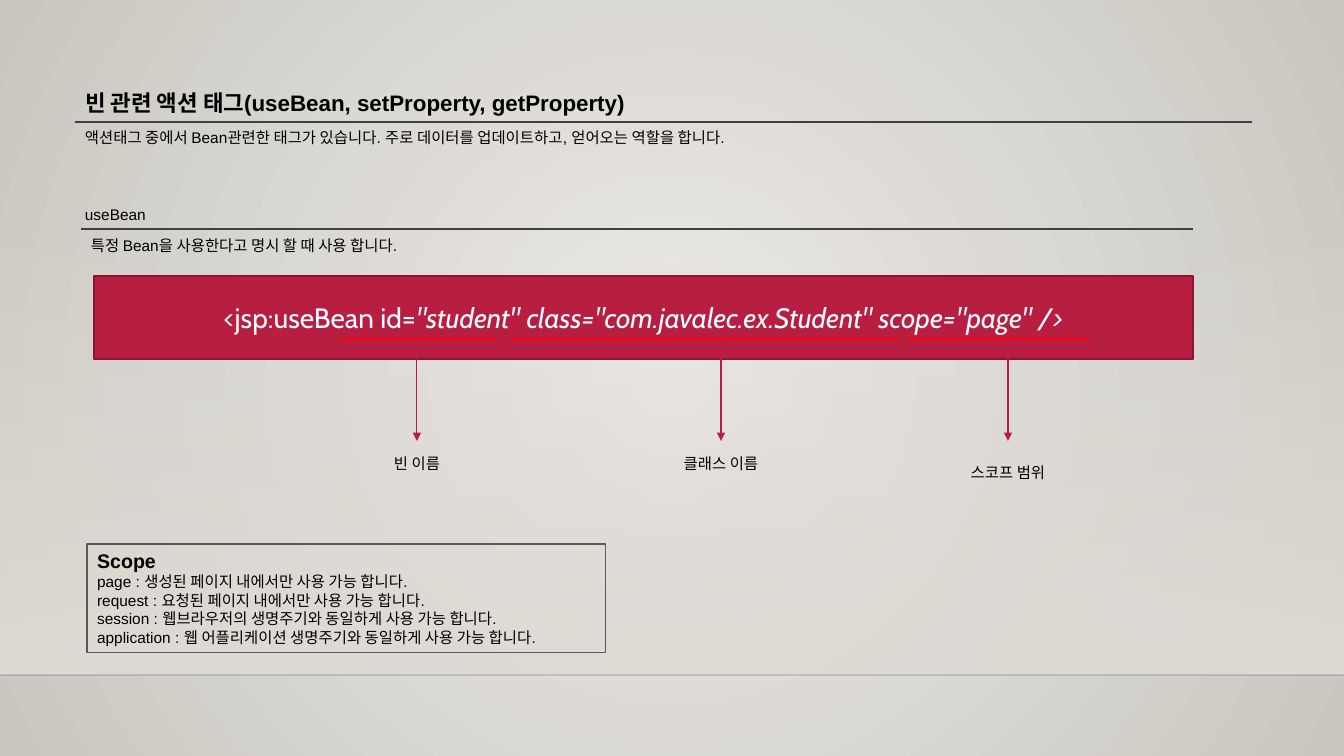
from lxml.etree import SubElement
from pptx import Presentation
from pptx.dml.color import RGBColor
from pptx.enum.shapes import MSO_CONNECTOR, MSO_SHAPE
from pptx.enum.text import MSO_ANCHOR, MSO_AUTO_SIZE, PP_ALIGN
from pptx.oxml.ns import qn
from pptx.util import Pt

HEADING = "빈 관련 액션 태그(useBean, setProperty, getProperty)"
PASSAGES = [
    ("액션태그 중에서 Bean관련한 태그가 있습니다. 주로 데이터를 업데이트하고, 얻어오는 역할을 합니다.", (75, 123, 1177, 29)),
    ("useBean", (75, 200, 1177, 29)),
    ("특정 Bean을 사용한다고 명시 할 때 사용 합니다.", (81, 231, 1112, 29)),
]
TAG_PARTS = [
    ("<jsp:useBean id=", False),
    ('"student" class="com.javalec.ex.Student" scope="page" />', True),
]
ATTRIBUTES = [
    ("빈 이름", 417, 449, (339, 498)),
    ("클래스 이름", 721, 449, (512, 901)),
    ("스코프 범위", 1008, 458, (909, 1089)),
]
SCOPE_HEADING = "Scope"
SCOPES = [
    "page : 생성된 페이지 내에서만 사용 가능 합니다.",
    "request : 요청된 페이지 내에서만 사용 가능 합니다.",
    "session : 웹브라우저의 생명주기와 동일하게 사용 가능 합니다.",
    "application : 웹 어플리케이션 생명주기와 동일하게 사용 가능 합니다.",
]

WIDTH, HEIGHT = 1344, 756
FLOOR_TOP, FLOOR_LINE = 223, 675
RULES = [(75, 122, 1252), (81, 229, 1193)]
BAR = (94, 276, 1099, 83)
UNDERLINE_Y, ARROW_END = 339, 441
LABEL_WIDTH, LABEL_HEIGHT = 122, 29
PX = 12192000 / WIDTH

BLACK = RGBColor(0, 0, 0)
WHITE = RGBColor(255, 255, 255)
RED = RGBColor(255, 0, 0)
CRIMSON = RGBColor(0xB7, 0x1E, 0x42)
DARK_CRIMSON = RGBColor(0x87, 0x16, 0x31)
RULE_GRAY = RGBColor(0x40, 0x40, 0x40)
BORDER_GRAY = RGBColor(0x59, 0x59, 0x59)
GLOW = RGBColor(0xEC, 0xEA, 0xE7)
EDGE = RGBColor(0xCA, 0xC7, 0xC1)
FLOOR = RGBColor(0xDF, 0xDB, 0xD5)


def emu(*lengths):
    return [round(length * PX) for length in lengths]


def set_alpha(color, percent):
    SubElement(color, qn("a:alpha"), val=str(percent * 1000))


def set_gradient(fill, first, last):
    fill.gradient()
    for stop, color in zip(fill.gradient_stops, (first, last)):
        stop.color.rgb = color


def paint_background(slide):
    set_gradient(slide.background.fill, GLOW, EDGE)
    gradient = slide.background._cSld.find(".//" + qn("a:gradFill"))
    gradient.remove(gradient.find(qn("a:lin")))
    circle = SubElement(gradient, qn("a:path"), path="circle")
    SubElement(circle, qn("a:fillToRect"), l="50000", t="50000", r="50000", b="50000")


def add_block(slide, box):
    block = slide.shapes.add_shape(MSO_SHAPE.RECTANGLE, *emu(*box))
    block.shadow.inherit = False
    return block


def add_line(slide, start, end, color, points, arrow=False):
    line = slide.shapes.add_connector(MSO_CONNECTOR.STRAIGHT, *emu(*start, *end))
    line.line.color.rgb = color
    line.line.width = Pt(points)
    if arrow:
        SubElement(line.line._get_or_add_ln(), qn("a:tailEnd"), type="triangle")
    SubElement(line._element.spPr, qn("a:effectLst"))
    return line


def style(paragraph, size, bold=False, align=PP_ALIGN.LEFT):
    paragraph.alignment = align
    paragraph.space_before = Pt(0)
    paragraph.font.name = "Arial"
    paragraph.font.size = Pt(size)
    paragraph.font.bold = bold
    paragraph.font.color.rgb = BLACK


def add_text(slide, text, box, align=PP_ALIGN.LEFT):
    frame = slide.shapes.add_textbox(*emu(*box)).text_frame
    frame.word_wrap = True
    frame.text = text
    style(frame.paragraphs[0], 11, align=align)


def place(placeholder, box):
    placeholder.left, placeholder.top, placeholder.width, placeholder.height = emu(*box)
    placeholder.text_frame.auto_size = MSO_AUTO_SIZE.NONE
    placeholder.text_frame.vertical_anchor = MSO_ANCHOR.TOP


def add_floor(slide):
    floor = add_block(slide, (0, FLOOR_TOP, WIDTH, FLOOR_LINE - FLOOR_TOP))
    set_gradient(floor.fill, FLOOR, FLOOR)
    floor.fill.gradient_angle = 270
    set_alpha(floor._element.spPr.find(".//" + qn("a:srgbClr")), 0)
    floor.line.fill.background()
    edge = add_line(slide, (0, FLOOR_LINE), (WIDTH, FLOOR_LINE), BLACK, 1)
    set_alpha(edge._element.spPr.find(".//" + qn("a:srgbClr")), 20)


def add_tag_bar(slide):
    bar = add_block(slide, BAR)
    bar.fill.solid()
    bar.fill.fore_color.rgb = CRIMSON
    bar.line.color.rgb = DARK_CRIMSON
    bar.line.width = Pt(1.25)
    bar.text_frame.vertical_anchor = MSO_ANCHOR.MIDDLE
    code = bar.text_frame.paragraphs[0]
    code.alignment = PP_ALIGN.CENTER
    code.font.name = "Cabin"
    code.font.size = Pt(20)
    code.font.color.rgb = WHITE
    for text, italic in TAG_PARTS:
        part = code.add_run()
        part.text = text
        part.font.italic = italic


def add_attributes(slide):
    for _, _, _, (left, right) in ATTRIBUTES:
        add_line(slide, (left, UNDERLINE_Y), (right, UNDERLINE_Y), RED, 2)
    for label, center, top, _ in ATTRIBUTES:
        add_line(slide, (center, UNDERLINE_Y), (center, ARROW_END), CRIMSON, 0.75, arrow=True)
        box = (center - LABEL_WIDTH / 2, top, LABEL_WIDTH, LABEL_HEIGHT)
        add_text(slide, label, box, PP_ALIGN.CENTER)


def fill_scopes(body):
    place(body, (87, 544, 519, 109))
    body.line.color.rgb = BORDER_GRAY
    body.line.width = Pt(0.75)
    body.text_frame.text = "\n".join([SCOPE_HEADING, *SCOPES])
    for index, paragraph in enumerate(body.text_frame.paragraphs):
        properties = paragraph._p.get_or_add_pPr()
        properties.set("marL", "0")
        properties.set("indent", "0")
        SubElement(properties, qn("a:buNone"))
        style(paragraph, 11 if index else 14, bold=index == 0)


def main():
    presentation = Presentation()
    presentation.slide_width, presentation.slide_height = emu(WIDTH, HEIGHT)
    slide = presentation.slides.add_slide(presentation.slide_layouts[1])
    title, body = slide.placeholders
    paint_background(slide)
    add_floor(slide)
    slide.shapes._spTree.append(title._element)
    slide.shapes._spTree.append(body._element)
    place(title, (75, 84, 1177, 37))
    title.text_frame.text = HEADING
    style(title.text_frame.paragraphs[0], 16, bold=True)
    for left, y, right in RULES:
        add_line(slide, (left, y), (right, y), RULE_GRAY, 1)
    for text, box in PASSAGES:
        add_text(slide, text, box)
    add_tag_bar(slide)
    add_attributes(slide)
    fill_scopes(body)
    presentation.save("out.pptx")


if __name__ == "__main__":
    main()
